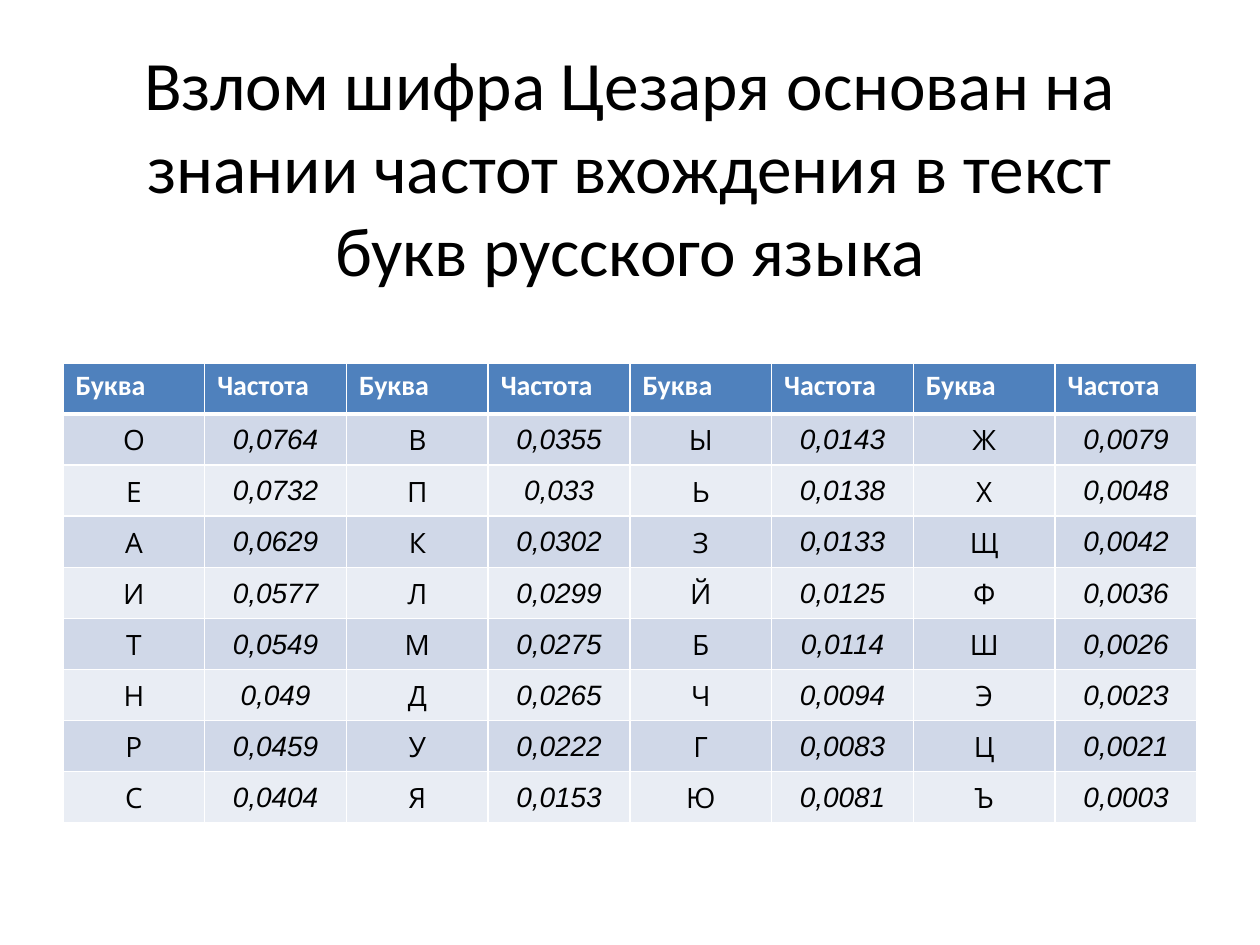
from lxml import etree
from pptx import Presentation
from pptx.dml.color import RGBColor
from pptx.enum.text import MSO_ANCHOR, PP_ALIGN
from pptx.oxml.ns import qn
from pptx.util import Inches, Pt

LEFT, CENTER = PP_ALIGN.LEFT, PP_ALIGN.CENTER
TOP, MIDDLE = MSO_ANCHOR.TOP, MSO_ANCHOR.MIDDLE
WIDTH, HEIGHT = Inches(10), Inches(7.5)
COLORS = {
    "text": "000000",
    "white": "FFFFFF",
    "header": "4F81BD",
    "odd_row": "D0D8E8",
    "even_row": "E9EDF4",
}
TITLE = "Взлом шифра Цезаря основан на знании частот вхождения в текст букв русского языка"
HEADINGS = ("Буква", "Частота")
LETTERS = ("ОЕАИТНРС", "ВПКЛМДУЯ", "ЫЬЗЙБЧГЮ", "ЖХЩФШЭЦЪ")
FREQUENCIES = (
    ("0,0764", "0,0732", "0,0629", "0,0577", "0,0549", "0,049", "0,0459", "0,0404"),
    ("0,0355", "0,033", "0,0302", "0,0299", "0,0275", "0,0265", "0,0222", "0,0153"),
    ("0,0143", "0,0138", "0,0133", "0,0125", "0,0114", "0,0094", "0,0083", "0,0081"),
    ("0,0079", "0,0048", "0,0042", "0,0036", "0,0026", "0,0023", "0,0021", "0,0003"),
)


def place(left, top, width, height):
    """Turn percentages of the slide's size into lengths."""
    shares = ((left, WIDTH), (top, HEIGHT), (width, WIDTH), (height, HEIGHT))
    return [round(share * size / 100) for share, size in shares]


def write_text(frame, text, font="Calibri", size=16, color="text",
               bold=False, italic=False, align=CENTER):
    """Put one formatted run into a text frame."""
    para = frame.paragraphs[0]
    para.alignment = align
    span = para.add_run()
    span.text = text
    span.font.name = font
    span.font.size = Pt(size)
    span.font.bold = bold
    span.font.italic = italic
    span.font.color.rgb = RGBColor.from_string(COLORS[color])


def add_title(page):
    """Add the centred heading of the page."""
    box = page.shapes.add_textbox(*place(5, 4, 90, 27.07))
    box.text_frame.word_wrap = True
    box.text_frame.vertical_anchor = MIDDLE
    write_text(box.text_frame, TITLE, size=39.6)


def set_borders(cell, top=1, bottom=1):
    """Draw white lines around a cell, with widths in points."""
    properties = cell._tc.get_or_add_tcPr()
    for side, width in (("L", 1), ("R", 1), ("T", top), ("B", bottom)):
        line = etree.SubElement(properties, qn(f"a:ln{side}"), w=str(Pt(width)))
        fill = etree.SubElement(line, qn("a:solidFill"))
        etree.SubElement(fill, qn("a:srgbClr"), val=COLORS["white"])


def fill_cell(cell, text, fill, anchor=MIDDLE, top=1, bottom=1, **text_format):
    """Set the borders, fill and text of a cell."""
    set_borders(cell, top, bottom)
    cell.fill.solid()
    cell.fill.fore_color.rgb = RGBColor.from_string(COLORS[fill])
    cell.vertical_anchor = anchor
    write_text(cell.text_frame, text, **text_format)


def fill_body_cell(cell, text, row, **text_format):
    """Fill a banded cell with narrow margins."""
    cell.margin_left = cell.margin_right = cell.margin_top = Inches(0.01)
    cell.margin_bottom = 0
    fill_cell(cell, text, "odd_row" if row % 2 else "even_row",
              top=3 if row == 1 else 1, **text_format)


def add_frequency_table(page):
    """Add the table of letters, by falling frequency down each column pair."""
    rows, columns = len(LETTERS[0]) + 1, 2 * len(LETTERS)
    table = page.shapes.add_table(rows, columns, *place(5, 38.4, 90, 48.67)).table
    for column in range(columns):
        fill_cell(table.cell(0, column), HEADINGS[column % 2], "header", anchor=TOP,
                  bottom=3, color="white", bold=True, align=LEFT)
    for pair, (letters, frequencies) in enumerate(zip(LETTERS, FREQUENCIES)):
        for row, (letter, frequency) in enumerate(zip(letters, frequencies), start=1):
            fill_body_cell(table.cell(row, 2 * pair), letter, row, font="Open Sans")
            fill_body_cell(table.cell(row, 2 * pair + 1), frequency, row,
                           font="Arial", italic=True)


def main():
    """Build the slide and save the deck."""
    deck = Presentation()
    deck.slide_width, deck.slide_height = WIDTH, HEIGHT
    page = deck.slides.add_slide(deck.slide_layouts[6])
    add_title(page)
    add_frequency_table(page)
    deck.save("out.pptx")


if __name__ == "__main__":
    main()
